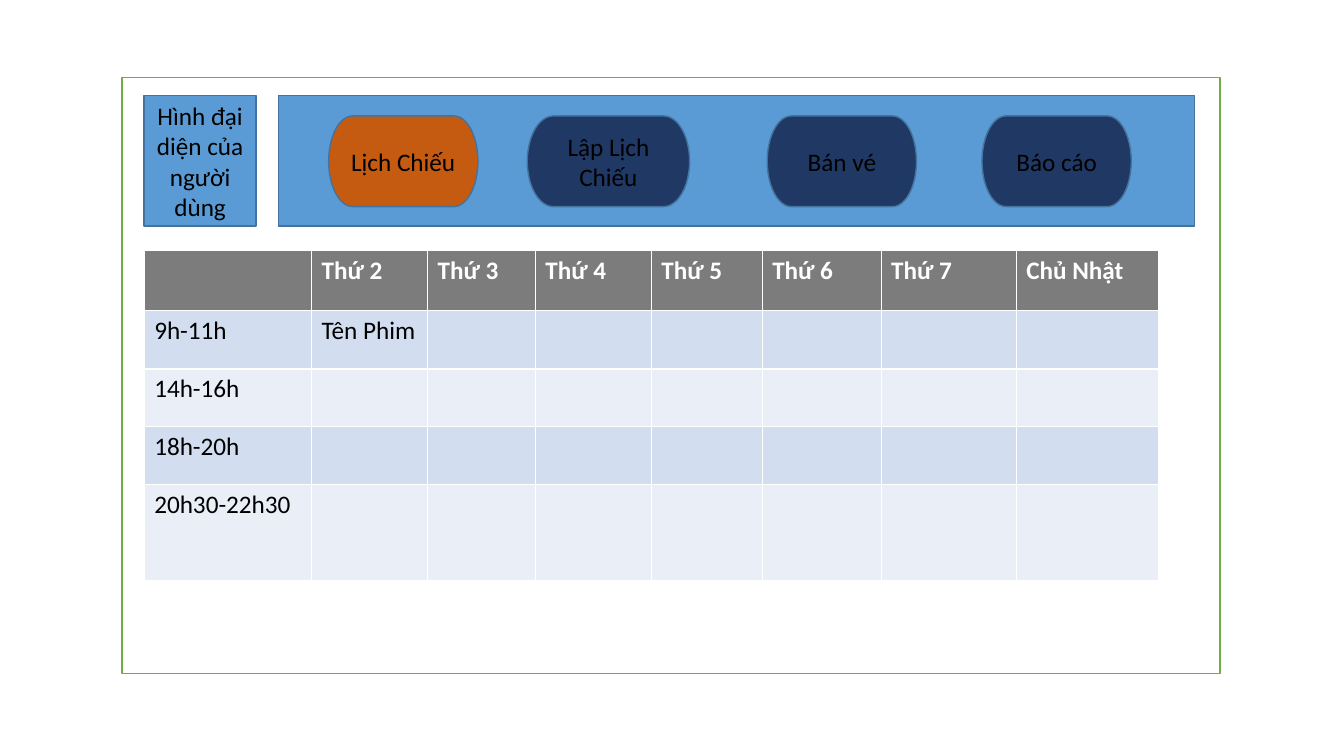
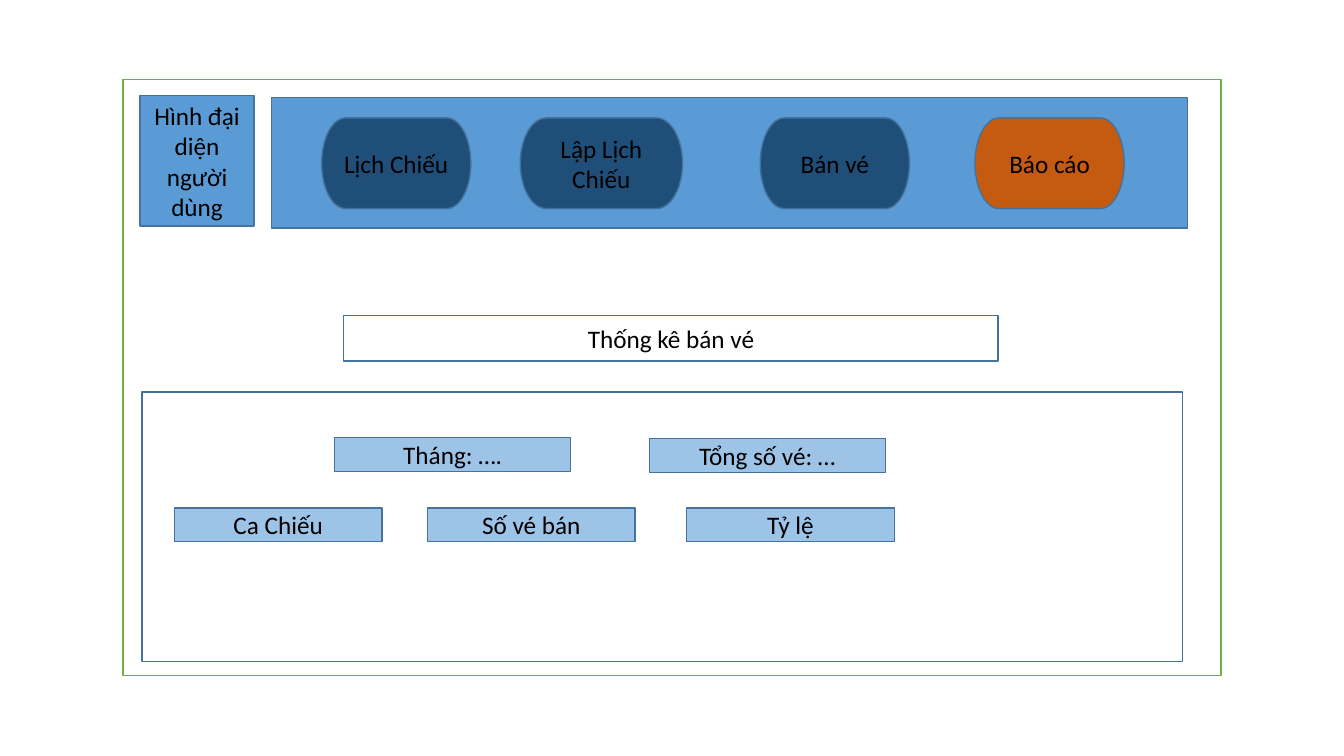
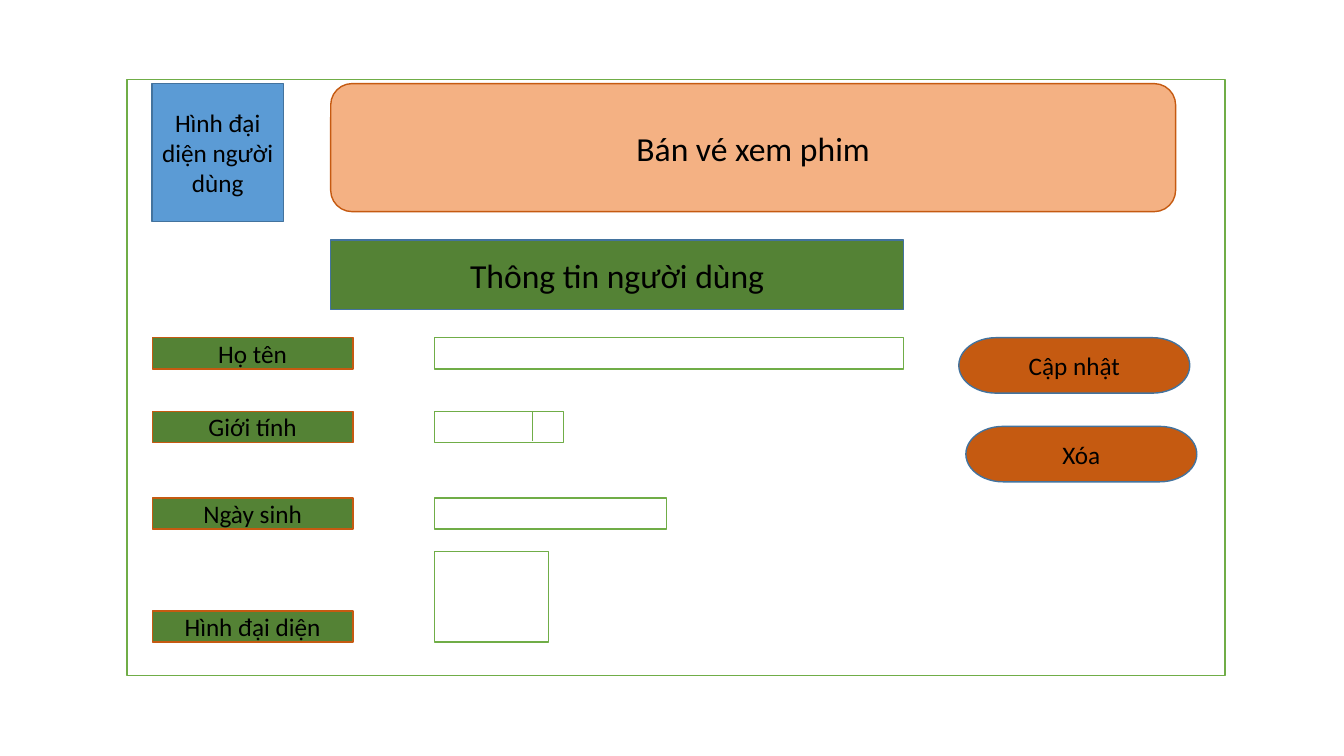
from pptx import Presentation
from pptx.dml.color import RGBColor
from pptx.enum import shapes, text
from pptx.oxml import ns
from pptx.util import Inches, Pt
from lxml import etree

# Shared look
FONT = "Calibri"
WHITE, BLACK = "FFFFFF", "000000"
BLUE, BLUE_EDGE, PALE_BLUE = "5B9BD5", "43739E", "9DC3E6"
ORANGE, PEACH = "C55A11", "F4B183"
GREEN, GREEN_EDGE = "548235", "70AD47"
HEADER, BANDS = "7C7C7C", ("D2DEEF", "EAEFF7")

RECT = shapes.MSO_SHAPE.RECTANGLE
ROUNDED = shapes.MSO_SHAPE.ROUNDED_RECTANGLE
PROCESS = shapes.MSO_SHAPE.FLOWCHART_PROCESS
TERMINATOR = shapes.MSO_SHAPE.FLOWCHART_TERMINATOR

# Menu buttons: label, offset from the left of the menu bar, width
MENU = [("Lịch Chiếu", 0.5, 1.48), ("Lập Lịch Chiếu", 2.47, 1.61),
        ("Bán vé", 4.85, 1.48), ("Báo cáo", 6.98, 1.48)]

DAYS = ["", "Thứ 2", "Thứ 3", "Thứ 4", "Thứ 5", "Thứ 6", "Thứ 7", "Chủ Nhật"]
DAY_WIDTHS = [1.66, 1.15, 1.07, 1.15, 1.1, 1.18, 1.34, 1.41]
SHOWS = [["9h-11h", "Tên Phim"], ["14h-16h"], ["18h-20h"], ["20h30-22h30"]]
SHOW_HEIGHTS = [0.6, 0.58, 0.57, 0.58, 0.95]


def rgb(value):
    return RGBColor.from_string(value)


def style_text(paragraph, size=18, color=BLACK, bold=False):
    font = paragraph.font
    font.name, font.size, font.bold = FONT, Pt(size), bold
    font.color.rgb = rgb(color)


def box(slide, kind, area, fill, edge, label="", size=18):
    """Add a filled, outlined shape with an optional centred label."""
    shape = slide.shapes.add_shape(kind, *map(Inches, area))
    shape.shadow.inherit = False
    shape.fill.solid()
    shape.fill.fore_color.rgb = rgb(fill)
    shape.line.color.rgb = rgb(edge)
    shape.line.width = Pt(1)
    if label:
        frame = shape.text_frame
        frame.text = label
        frame.word_wrap = True
        frame.vertical_anchor = text.MSO_ANCHOR.MIDDLE
        frame.paragraphs[0].alignment = text.PP_ALIGN.CENTER
        style_text(frame.paragraphs[0], size)


def divider(slide, x, top, bottom):
    line = slide.shapes.add_connector(
        shapes.MSO_CONNECTOR.STRAIGHT, *map(Inches, (x, top, x, bottom)))
    line.line.color.rgb = rgb(GREEN_EDGE)
    line.line.width = Pt(1)
    etree.SubElement(line._element.spPr, ns.qn("a:effectLst"))


def add_screen(deck, left, top):
    """Add a slide with the outline of the application window."""
    slide = deck.slides.add_slide(deck.slide_layouts[6])
    box(slide, PROCESS, (left, top, 10.89, 5.91), WHITE, GREEN_EDGE)
    return slide


def menu_bar(slide, left, top, active, idle_fill):
    box(slide, PROCESS, (left, top, 9.09, 1.29), BLUE, BLUE_EDGE)
    for label, offset, width in MENU:
        box(slide, TERMINATOR, (left + offset, top + 0.2, width, 0.9),
            ORANGE if label == active else idle_fill, BLUE_EDGE, label)


def timetable(slide):
    area = (1.43, 2.48, sum(DAY_WIDTHS), sum(SHOW_HEIGHTS))
    table = slide.shapes.add_table(
        len(SHOW_HEIGHTS), len(DAYS), *map(Inches, area)).table
    for column, width in zip(table.columns, DAY_WIDTHS):
        column.width = Inches(width)
    for row, height in zip(table.rows, SHOW_HEIGHTS):
        row.height = Inches(height)

    for r, entries in enumerate([DAYS] + SHOWS):
        heading = r == 0
        for c in range(len(DAYS)):
            cell = table.cell(r, c)
            cell.fill.solid()
            cell.fill.fore_color.rgb = rgb(HEADER if heading else BANDS[(r - 1) % 2])
            if c < len(entries):
                cell.text = entries[c]
            style_text(cell.text_frame.paragraphs[0],
                       color=WHITE if heading else BLACK, bold=heading)


def schedule_screen(deck):
    slide = add_screen(deck, 1.21, 0.77)
    menu_bar(slide, 2.76, 0.95, "Lịch Chiếu", "203864")
    box(slide, PROCESS, (1.43, 0.95, 1.11, 1.29), BLUE, BLUE_EDGE,
        "Hình đại diện của người dùng")
    timetable(slide)


def report_screen(deck):
    slide = add_screen(deck, 1.22, 0.79)
    box(slide, PROCESS, (1.39, 0.95, 1.13, 1.29), BLUE, BLUE_EDGE,
        "Hình đại diện người dùng")
    menu_bar(slide, 2.69, 0.97, "Báo cáo", "1F4E79")

    # Report heading and panel
    box(slide, PROCESS, (3.41, 3.13, 6.49, 0.45), WHITE, BLUE_EDGE,
        "Thống kê bán vé")
    box(slide, PROCESS, (1.41, 3.89, 10.32, 2.67), WHITE, BLUE_EDGE)

    # Totals, then column headings
    for label, left, top, width, height in [
            ("Tháng: ….", 3.32, 4.34, 2.34, 0.34),
            ("Tổng số vé: …", 6.44, 4.35, 2.34, 0.34),
            ("Ca Chiếu", 1.73, 5.04, 2.06, 0.33),
            ("Số vé bán", 4.24, 5.04, 2.06, 0.33),
            ("Tỷ lệ", 6.81, 5.04, 2.06, 0.33)]:
        box(slide, PROCESS, (left, top, width, height), PALE_BLUE, BLUE_EDGE, label)


def customer_screen(deck):
    slide = add_screen(deck, 1.26, 0.79)
    box(slide, RECT, (1.51, 0.83, 1.3, 1.37), BLUE, BLUE_EDGE,
        "Hình đại diện người dùng")
    box(slide, ROUNDED, (3.28, 0.83, 8.38, 1.27), PEACH, ORANGE,
        "Bán vé xem phim", 24)
    box(slide, RECT, (3.28, 2.38, 5.68, 0.69), GREEN, BLUE_EDGE,
        "Thông tin người dùng", 24)

    # Form rows: each input shares its bottom edge with its label
    for label, top, width, height in [
            ("Họ tên", 3.35, 4.65, 0.31), ("Giới tính", 4.08, 1.28, 0.31),
            ("Ngày sinh", 4.94, 2.3, 0.31), ("Hình đại diện", 6.06, 1.13, 0.9)]:
        box(slide, RECT, (1.51, top, 1.99, 0.31), GREEN, ORANGE, label)
        box(slide, RECT, (4.31, top + 0.31 - height, width, height),
            WHITE, GREEN_EDGE)
    divider(slide, 5.28, 4.08, 4.38)

    # Actions
    for label, left, top in [("Cập nhật", 9.51, 3.35), ("Xóa", 9.58, 4.23)]:
        box(slide, TERMINATOR, (left, top, 2.29, 0.55), ORANGE, BLUE_EDGE, label)


def main():
    deck = Presentation()
    deck.slide_width, deck.slide_height = Inches(13.33), Inches(7.5)
    schedule_screen(deck)
    report_screen(deck)
    customer_screen(deck)
    deck.save("out.pptx")


main()
